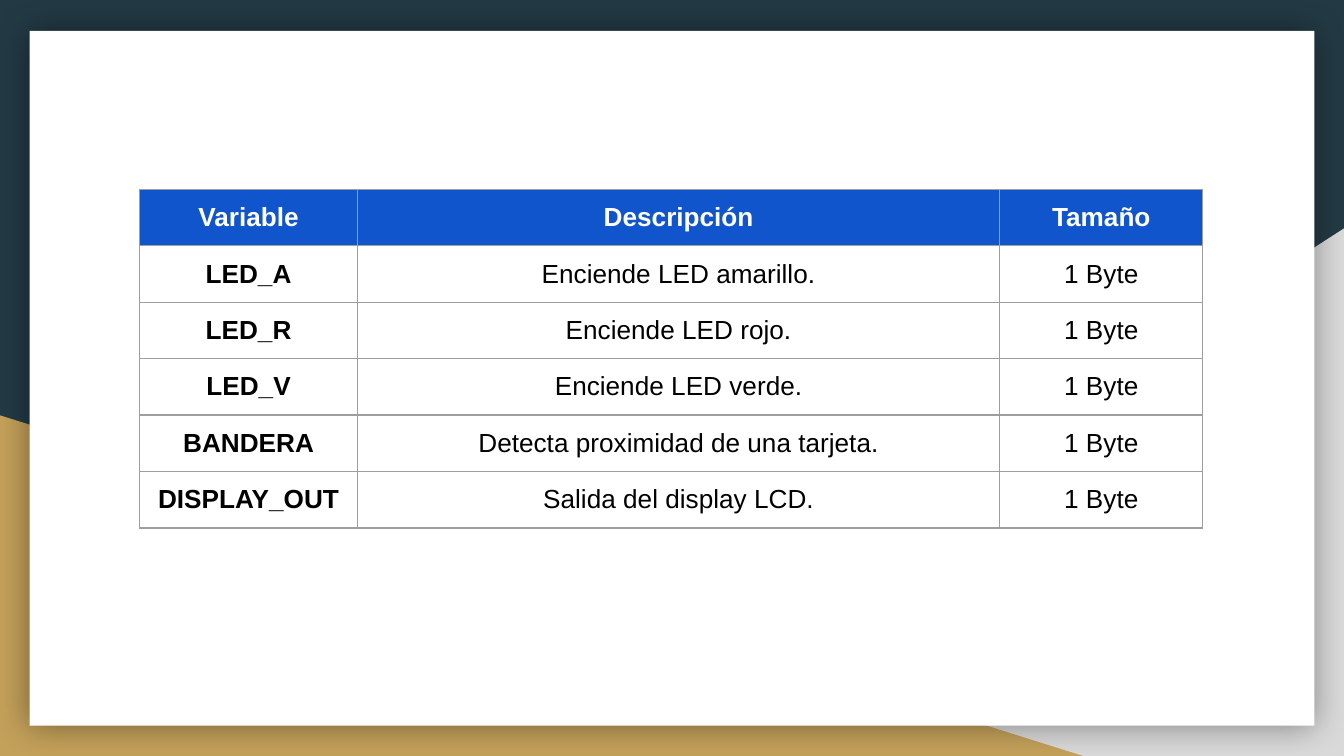
from lxml.etree import SubElement as Sub
from pptx import Presentation
from pptx.dml.color import RGBColor as RGB
from pptx.enum.shapes import MSO_SHAPE as SHAPE
from pptx.enum.text import MSO_ANCHOR as ANCHOR, PP_ALIGN as ALIGN
from pptx.oxml import parse_xml
from pptx.oxml.ns import nsdecls, qn
from pptx.util import Inches as In, Pt

NAVY = RGB(0x23, 0x3A, 0x44)
GRAY = RGB(0xD9, 0xD9, 0xD9)
GOLD = RGB(0xC4, 0xA1, 0x5A)
WHITE = RGB(0xFF, 0xFF, 0xFF)
BLACK = RGB(0, 0, 0)
BLUE = RGB(0x11, 0x55, 0xCC)
EDGE = RGB(0x9E, 0x9E, 0x9E)

WIDE = 10
HIGH = WIDE * 9 / 16
COLS = [1.62, 2.34, 2.44, 1.51]
ROW = 0.42
PAD = In(0.1)
DATA = [
    ("Variable", "Descripción", "Tamaño"),
    ("LED_A", "Enciende LED amarillo.", "1 Byte"),
    ("LED_R", "Enciende LED rojo.", "1 Byte"),
    ("LED_V", "Enciende LED verde.", "1 Byte"),
    ("BANDERA", "Detecta proximidad de una tarjeta.", "1 Byte"),
    ("DISPLAY_OUT", "Salida del display LCD.", "1 Byte"),
]

deck = Presentation()
deck.slide_width, deck.slide_height = In(WIDE), In(HIGH)
slide = deck.slides.add_slide(deck.slide_layouts[6])
slide.background.fill.solid()
slide.background.fill.fore_color.rgb = NAVY


def block(kind, left, top, wide, high, color):
    """Add a plain filled shape without outline or shadow."""
    shape = slide.shapes.add_shape(kind, In(left), In(top), In(wide), In(high))
    shape.shadow.inherit = False
    shape.fill.solid()
    shape.fill.fore_color.rgb = color
    shape.line.fill.background()
    return shape


def border(cell):
    """Draw a thin line on all four sides of a table cell."""
    props = cell._tc.get_or_add_tcPr()
    for spot, side in enumerate("LRTB"):
        line = parse_xml(
            f'<a:ln{side} {nsdecls("a")} w="{Pt(0.75)}"><a:solidFill>'
            f'<a:srgbClr val="{EDGE}"/></a:solidFill></a:ln{side}>')
        props.insert(spot, line)


# Backdrop: two corner triangles behind a white card
gray = block(SHAPE.RIGHT_TRIANGLE, 3.92, 1.7, WIDE - 3.92, HIGH - 1.7, GRAY)
gray._element.spPr.xfrm.set("flipH", "1")
block(SHAPE.RIGHT_TRIANGLE, 0, 3.09, 8.06, HIGH - 3.09, GOLD)
card = block(SHAPE.RECTANGLE, 0.22, 0.23, WIDE - 0.44, 5.17, WHITE)
glow = Sub(card._element.spPr.find(qn("a:effectLst")), qn("a:outerShdw"),
           blurRad=str(Pt(18)), dist="0", dir="0", algn="ctr", rotWithShape="0")
tint = Sub(glow, qn("a:srgbClr"), val=str(BLACK))
Sub(tint, qn("a:alpha"), val="40000")

# Table of variables; the description spans the two middle columns
table = slide.shapes.add_table(
    len(DATA), len(COLS), In(1.04), In(1.41),
    In(sum(COLS)), In(ROW * len(DATA))).table
table.first_row = table.horz_banding = False
for col, wide in zip(table.columns, COLS):
    col.width = In(wide)
for r, words in enumerate(DATA):
    table.rows[r].height = In(ROW)
    table.cell(r, 1).merge(table.cell(r, 2))
    for c, word in zip((0, 1, 3), words):
        cell = table.cell(r, c)
        cell.text_frame.text = word
        cell.vertical_anchor = ANCHOR.TOP
        cell.margin_left = cell.margin_right = PAD
        cell.margin_top = cell.margin_bottom = PAD
        para = cell.text_frame.paragraphs[0]
        para.alignment = ALIGN.CENTER
        font = para.runs[0].font
        font.name, font.size = "Arial", Pt(14)
        font.bold = r == 0 or c == 0
        font.color.rgb = WHITE if r == 0 else BLACK
    for cell in table.rows[r].cells:
        if r == 0:
            cell.fill.solid()
            cell.fill.fore_color.rgb = BLUE
        else:
            cell.fill.background()
        border(cell)

deck.save("out.pptx")
